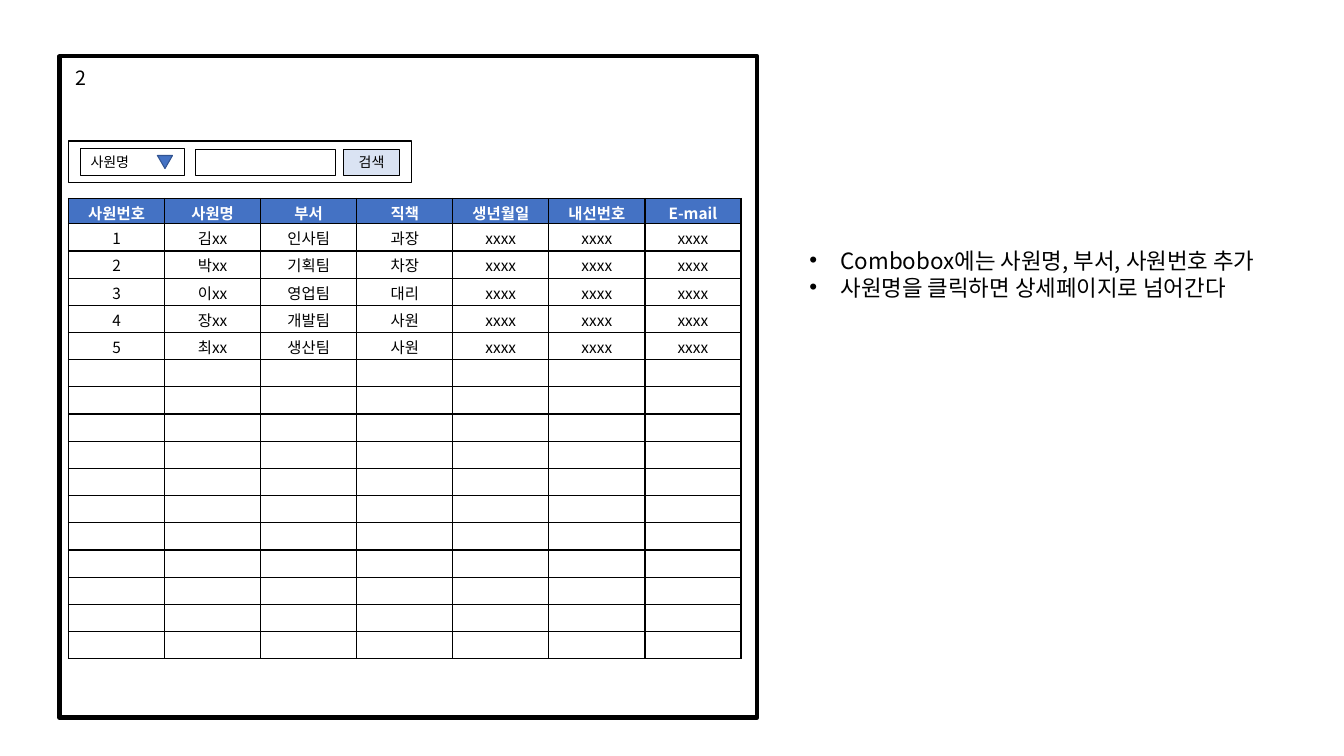
from lxml import etree
from pptx import Presentation
from pptx.dml.color import RGBColor
from pptx.enum.shapes import MSO_SHAPE
from pptx.enum.text import MSO_ANCHOR, PP_ALIGN
from pptx.oxml.ns import qn
from pptx.util import Inches, Pt

RECTANGLE = MSO_SHAPE.RECTANGLE
TRIANGLE = MSO_SHAPE.ISOSCELES_TRIANGLE
LEFT, CENTER = PP_ALIGN.LEFT, PP_ALIGN.CENTER
MIDDLE = MSO_ANCHOR.MIDDLE

FONT = "Noto Sans CJK KR"
COLORS = {
    "black": "000000",
    "white": "FFFFFF",
    "blue": "4472C4",
    "dark_blue": "325491",
    "pale_blue": "DAE3F3",
}

HEADERS = ["사원번호", "사원명", "부서", "직책", "생년월일", "내선번호", "E-mail"]
EMPLOYEES = [
    ("김xx", "인사팀", "과장"),
    ("박xx", "기획팀", "차장"),
    ("이xx", "영업팀", "대리"),
    ("장xx", "개발팀", "사원"),
    ("최xx", "생산팀", "사원"),
]
EMPTY_ROWS = 11
NOTES = [
    "Combobox에는 사원명, 부서, 사원번호 추가",
    "사원명을 클릭하면 상세페이지로 넘어간다",
]


class Wireframe:
    def __init__(self, slide):
        self.slide = slide

    def color(self, name):
        return RGBColor.from_string(COLORS[name])

    def format_text(self, text_frame, size, color="black", bold=False, align=LEFT):
        for paragraph in text_frame.paragraphs:
            paragraph.alignment = align
            for run in paragraph.runs:
                run.font.size = Pt(size)
                run.font.name = FONT
                run.font.bold = bold
                run.font.color.rgb = self.color(color)
                east_asian = etree.SubElement(run.font._element, qn("a:ea"))
                east_asian.set("typeface", FONT)

    def shape(self, box, kind=RECTANGLE, fill=None, line="black", width=0.75,
              text="", align=LEFT, rotation=0, parent=None):
        shapes = (parent or self.slide).shapes
        shape = shapes.add_shape(kind, *map(Inches, box))
        shape.shadow.inherit = False
        shape.rotation = rotation
        if fill:
            shape.fill.solid()
            shape.fill.fore_color.rgb = self.color(fill)
        else:
            shape.fill.background()
        shape.line.color.rgb = self.color(line)
        shape.line.width = Pt(width)
        if text:
            shape.text_frame.text = text
            shape.text_frame.vertical_anchor = MIDDLE
            self.format_text(shape.text_frame, 10, align=align)

    def text(self, box, lines, size, bulleted=False):
        text_frame = self.slide.shapes.add_textbox(*map(Inches, box)).text_frame
        text_frame.word_wrap = True
        text_frame.text = "\n".join(lines)
        self.format_text(text_frame, size)
        if bulleted:
            for paragraph in text_frame.paragraphs:
                properties = paragraph._p.get_or_add_pPr()
                properties.set("marL", str(Inches(0.31)))
                properties.set("indent", str(Inches(-0.31)))
                bullet_font = etree.SubElement(properties, qn("a:buFont"))
                bullet_font.set("typeface", "Arial")
                etree.SubElement(properties, qn("a:buChar")).set("char", "•")

    def cell_borders(self, cell):
        properties = cell._tc.get_or_add_tcPr()
        for position, side in enumerate(("a:lnL", "a:lnR", "a:lnT", "a:lnB")):
            border = etree.Element(qn(side), w=str(Pt(1)))
            fill = etree.SubElement(border, qn("a:solidFill"))
            etree.SubElement(fill, qn("a:srgbClr")).set("val", COLORS["black"])
            properties.insert(position, border)

    def cell(self, cell, text, header):
        cell.margin_left = cell.margin_right = Inches(0.07)
        cell.margin_top = cell.margin_bottom = Inches(0.03)
        if header:
            cell.fill.solid()
            cell.fill.fore_color.rgb = self.color("blue")
        else:
            cell.fill.background()
        self.cell_borders(cell)
        if text:
            cell.text_frame.text = text
            self.format_text(cell.text_frame, 11, "white" if header else "black",
                             header, CENTER)
        else:
            paragraph = cell.text_frame.paragraphs[0]._p
            etree.SubElement(paragraph, qn("a:endParaRPr")).set("sz", "1100")

    def table(self, box, rows, header_height, row_height):
        frame = self.slide.shapes.add_table(len(rows), len(rows[0]), *map(Inches, box))
        table = frame.table
        table.first_row = table.horz_banding = False
        for column in table.columns:
            column.width = Inches(box[2] / len(rows[0]))
        for row_index, values in enumerate(rows):
            header = row_index == 0
            table.rows[row_index].height = Inches(header_height if header else row_height)
            for column_index, value in enumerate(values):
                self.cell(table.cell(row_index, column_index), value, header)


def main():
    presentation = Presentation()
    presentation.slide_width = Inches(13.33)
    presentation.slide_height = Inches(7.5)
    slide = presentation.slides.add_slide(presentation.slide_layouts[6])
    wireframe = Wireframe(slide)

    wireframe.text((7.93, 2.4, 5.02, 0.64), NOTES, 16, bulleted=True)
    wireframe.shape((0.59, 0.56, 6.92, 6.56), width=3)
    wireframe.text((0.65, 0.6, 0.39, 0.34), ["2"], 14)

    search_bar = slide.shapes.add_group_shape()
    wireframe.shape((0.68, 1.4, 3.4, 0.41), width=1, parent=search_bar)
    wireframe.shape((0.8, 1.47, 1.03, 0.27), text="사원명", parent=search_bar)
    wireframe.shape((1.58, 1.51, 0.15, 0.13), TRIANGLE, "blue", "dark_blue",
                    rotation=60, parent=search_bar)
    wireframe.shape((1.94, 1.48, 1.39, 0.26), parent=search_bar)
    wireframe.shape((3.41, 1.48, 0.55, 0.26), fill="pale_blue", text="검색",
                    align=CENTER, parent=search_bar)

    rows = [HEADERS]
    for number, employee in enumerate(EMPLOYEES, 1):
        rows.append([str(number), *employee] + ["xxxx"] * 3)
    rows += [[""] * len(HEADERS)] * EMPTY_ROWS
    wireframe.table((0.68, 1.97, 6.67, 4.58), rows, 0.25, 0.27)

    presentation.save("out.pptx")


if __name__ == "__main__":
    main()
